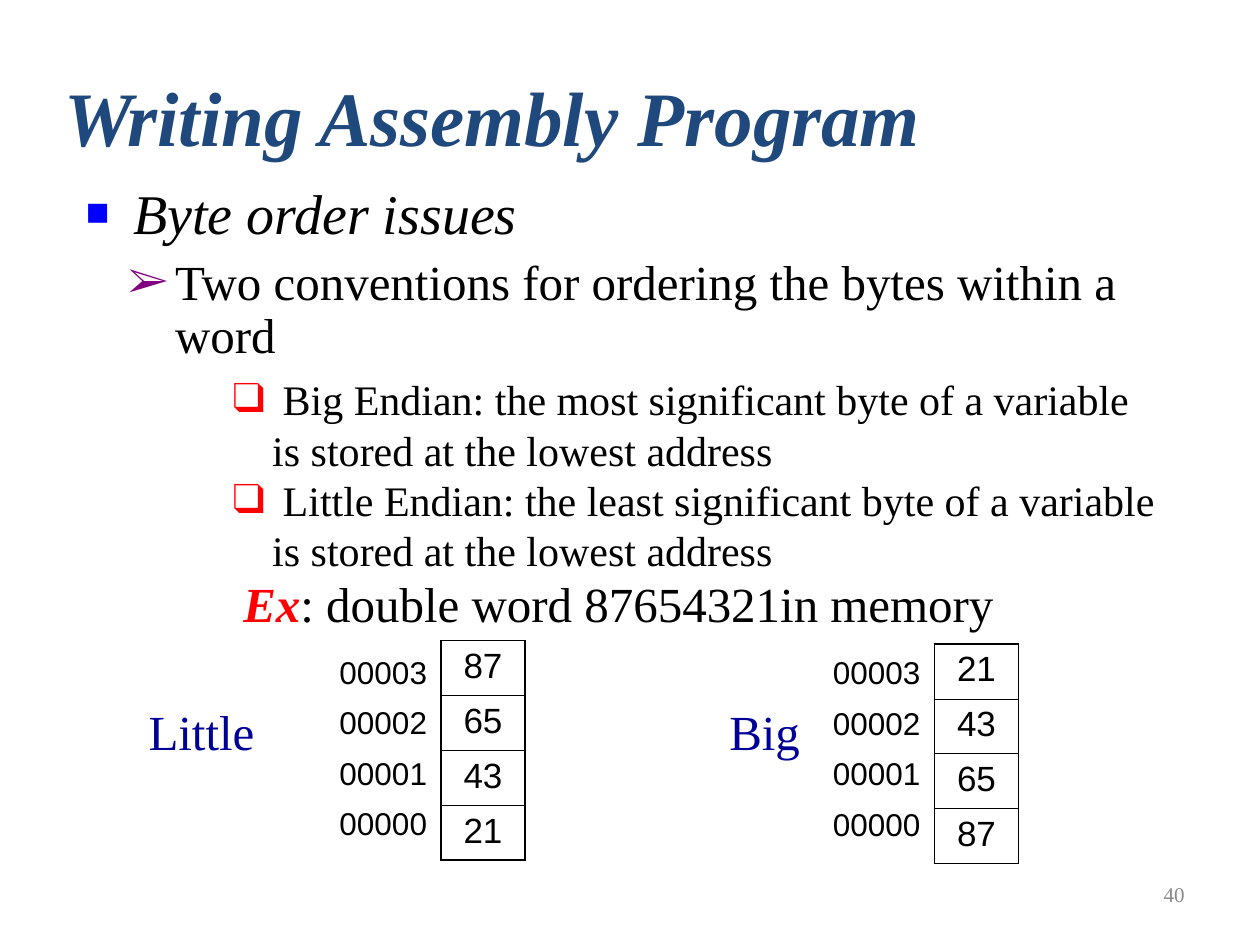
from dataclasses import dataclass, field
from typing import Optional

import pptx
import pptx.dml.color
import pptx.enum.text
import pptx.oxml.ns
import pptx.util
from lxml import etree

Pt = pptx.util.Pt
RGBColor = pptx.dml.color.RGBColor
Align = pptx.enum.text.PP_ALIGN
Anchor = pptx.enum.text.MSO_ANCHOR
AutoSize = pptx.enum.text.MSO_AUTO_SIZE

BLACK = RGBColor(0x00, 0x00, 0x00)
TITLE_BLUE = RGBColor(0x1F, 0x49, 0x7D)
BULLET_BLUE = RGBColor(0x00, 0x00, 0xFF)
LABEL_BLUE = RGBColor(0x00, 0x00, 0x99)
PURPLE = RGBColor(0x80, 0x00, 0x80)
RED = RGBColor(0xFF, 0x00, 0x00)
GREY = RGBColor(0x89, 0x89, 0x89)

SERIF = "Times New Roman"
SANS = "Arial"
OUTER_LINE = 1.08
INNER_LINE = 0.45


@dataclass(frozen=True)
class Run:
    text: str
    size: float
    color: RGBColor = BLACK
    bold: bool = False
    italic: bool = False
    font: str = SERIF


@dataclass(frozen=True)
class Bullet:
    char: str
    color: RGBColor
    percent: int
    margin: float
    hanging: float


@dataclass(frozen=True)
class TextBlock:
    box: tuple[float, float, float, float]
    paragraphs: list[list[Run]]
    bullet: Optional[Bullet] = None
    paragraph_format: dict = field(default_factory=dict)
    frame_format: dict = field(default_factory=dict)


@dataclass(frozen=True)
class Column:
    """A one-column table of memory contents or addresses."""
    left: float
    top: float
    width: float
    row_height: float
    values: list[str]
    size: float
    space_before: float
    ruled: bool


def apply_format(target, values: dict) -> None:
    for attribute, value in values.items():
        setattr(target, attribute, value)


def add_element(parent, tag: str, **attributes):
    return etree.SubElement(parent, pptx.oxml.ns.qn(tag), attributes)


def write_run(paragraph, run: Run) -> None:
    part = paragraph.add_run()
    part.text = run.text
    apply_format(part.font, {"name": run.font, "size": Pt(run.size),
                             "bold": run.bold, "italic": run.italic})
    part.font.color.rgb = run.color


def set_bullet(paragraph, bullet: Bullet) -> None:
    properties = paragraph._p.get_or_add_pPr()
    properties.set("marL", str(Pt(bullet.margin)))
    properties.set("indent", str(-Pt(bullet.hanging)))
    color = add_element(properties, "a:buClr")
    add_element(color, "a:srgbClr", val=str(bullet.color))
    add_element(properties, "a:buSzPct", val=str(bullet.percent * 1000))
    add_element(properties, "a:buFont", typeface=SERIF)
    add_element(properties, "a:buChar", char=bullet.char)


def draw_text(slide, block: TextBlock) -> None:
    frame = slide.shapes.add_textbox(*map(Pt, block.box)).text_frame
    apply_format(frame, {"word_wrap": True, **block.frame_format})
    for index, runs in enumerate(block.paragraphs):
        paragraph = frame.add_paragraph() if index else frame.paragraphs[0]
        apply_format(paragraph, block.paragraph_format)
        if block.bullet:
            set_bullet(paragraph, block.bullet)
        for run in runs:
            write_run(paragraph, run)


def set_borders(cell, widths: dict[str, float]) -> None:
    """Draw black cell borders; a width of zero leaves that side open."""
    properties = cell._tc.get_or_add_tcPr()
    for index, (side, width) in enumerate(widths.items()):
        line = etree.Element(pptx.oxml.ns.qn(f"a:{side}"), {"w": str(Pt(width))})
        if width:
            fill = add_element(line, "a:solidFill")
            add_element(fill, "a:srgbClr", val=str(BLACK))
        else:
            add_element(line, "a:noFill")
        properties.insert(index, line)


def draw_column(slide, column: Column) -> None:
    count = len(column.values)
    table = slide.shapes.add_table(
        count, 1, Pt(column.left), Pt(column.top),
        Pt(column.width), Pt(column.row_height * count)).table
    apply_format(table, {"first_row": False, "horz_banding": False})
    for index, value in enumerate(column.values):
        table.rows[index].height = Pt(column.row_height)
        cell = table.cell(index, 0)
        cell.fill.background()
        paragraph = cell.text_frame.paragraphs[0]
        apply_format(paragraph, {"alignment": Align.CENTER,
                                 "space_before": Pt(column.space_before)})
        write_run(paragraph, Run(value, column.size, font=SANS))
        widths = {
            "lnL": OUTER_LINE,
            "lnR": OUTER_LINE,
            "lnT": INNER_LINE if index else OUTER_LINE,
            "lnB": INNER_LINE if index < count - 1 else OUTER_LINE,
        }
        set_borders(cell, widths if column.ruled else dict.fromkeys(widths, 0))


GROW = {"auto_size": AutoSize.SHAPE_TO_FIT_TEXT}
LABEL = {**GROW, "word_wrap": False}
SPACED = {"space_before": Pt(7)}

TEXT_BLOCKS = [
    TextBlock((516, 492, 168, 37.5), [[Run("40", 12, GREY)]],
              paragraph_format={"alignment": Align.RIGHT},
              frame_format={"vertical_anchor": Anchor.MIDDLE}),
    TextBlock((30, 36, 612, 95),
              [[Run("Writing Assembly Program", 44, TITLE_BLUE, True, True)]]),
    TextBlock((42, 98.6, 576, 46), [[Run("Byte order issues", 32, italic=True)]],
              Bullet("■", BULLET_BLUE, 70, 27, 27),
              {"space_before": Pt(20)}, GROW),
    TextBlock((66, 144, 588, 36),
              [[Run("Two conventions for ordering the bytes within a word", 28)]],
              Bullet("➢", PURPLE, 90, 27, 27),
              {**SPACED, "line_spacing": 0.9}),
    TextBlock((90, 210, 582, 36),
              [[Run(f" {order} Endian: the {end} significant byte of a variable "
                    "is stored at the lowest address", 24)]
               for order, end in (("Big", "most"), ("Little", "least"))],
              Bullet("❑", RED, 100, 58.5, 22.5)),
    TextBlock((132, 324, 546, 41),
              [[Run("Ex", 28, RED, True, True),
                Run(": double word 87654321in memory", 28)]],
              paragraph_format=SPACED, frame_format=GROW),
    TextBlock((77.8, 397.5, 75, 41), [[Run("Little", 28, LABEL_BLUE)]],
              paragraph_format=SPACED, frame_format=LABEL),
    TextBlock((409.7, 397.5, 54.7, 41), [[Run("Big", 28, LABEL_BLUE)]],
              paragraph_format=SPACED, frame_format=LABEL),
]

WORD_BYTES = ["87", "65", "43", "21"]
ADDRESSES = [f"{address:05d}" for address in (3, 2, 1, 0)]
ADDRESS_WIDTH = 66


def draw_memory(slide, left: float, bytes_top: float, addresses_top: float,
                stored_bytes: list[str]) -> None:
    draw_column(slide, Column(left + ADDRESS_WIDTH, bytes_top, 48, 31.4,
                              stored_bytes, 20, 5, True))
    draw_column(slide, Column(left, addresses_top, ADDRESS_WIDTH, 28.9,
                              ADDRESSES, 18, 4.5, False))


def main() -> None:
    deck = pptx.Presentation()
    apply_format(deck, {"slide_width": Pt(720), "slide_height": Pt(540)})
    slide = deck.slides.add_slide(deck.slide_layouts[6])
    for block in TEXT_BLOCKS:
        draw_text(slide, block)
    draw_memory(slide, 186, 366, 371, WORD_BYTES)
    draw_memory(slide, 468, 368, 371.3, WORD_BYTES[::-1])
    deck.save("out.pptx")


if __name__ == "__main__":
    main()
